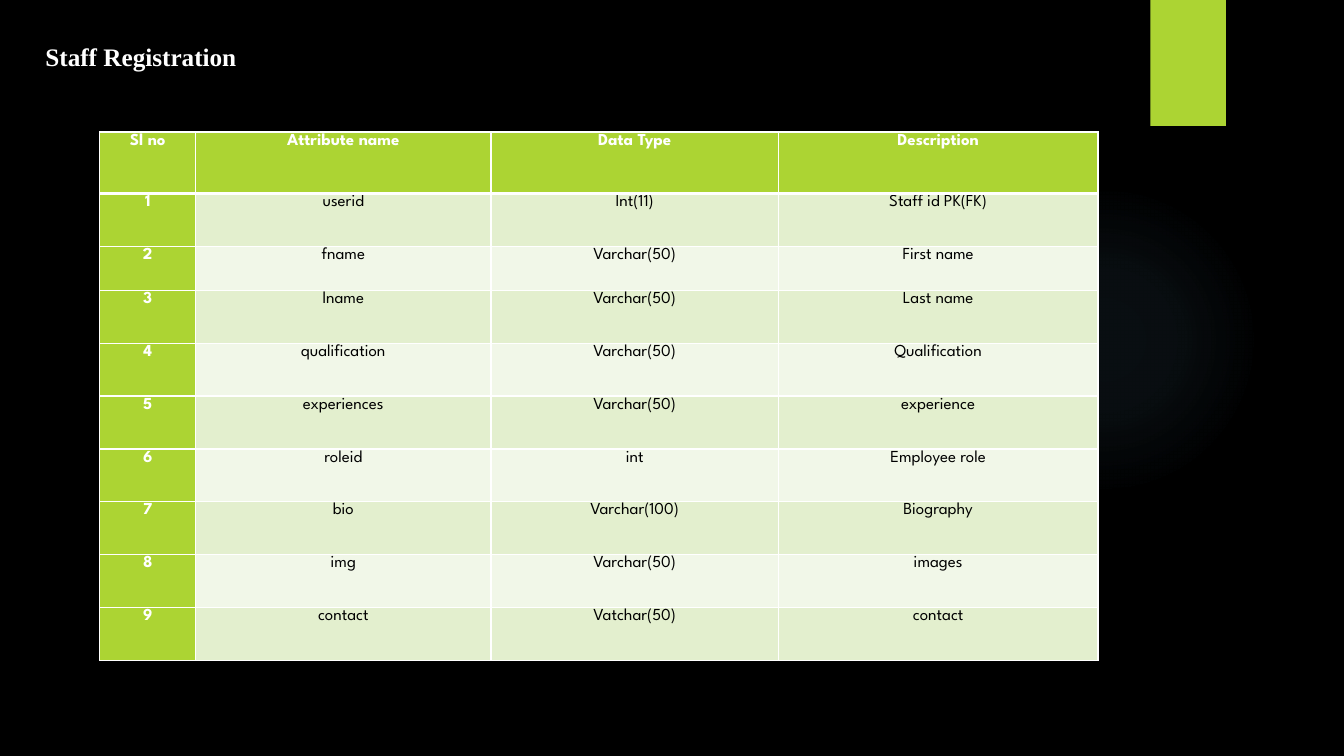
import dataclasses
import typing

import lxml.etree
import pptx
import pptx.dml.color
import pptx.enum.shapes
import pptx.enum.text
import pptx.oxml
import pptx.oxml.ns
import pptx.slide
import pptx.table
import pptx.text.text
import pptx.util

Inches = pptx.util.Inches
ALIGN = pptx.enum.text.PP_ALIGN
SHAPE = pptx.enum.shapes.MSO_SHAPE


@dataclasses.dataclass(frozen=True)
class Theme:
    background: str = "000000"
    accent: str = "ACD433"
    glow: str = "7AC4F0"
    light: str = "FFFFFF"
    dark: str = "000000"
    bands: tuple[str, str] = ("E3EFCE", "F1F7E8")
    title_font: str = "Times New Roman"
    table_font: str = "League Spartan"
    title_size: int = 18
    table_size: int = 12
    thin: int = 1
    thick: int = 3


class Attribute(typing.NamedTuple):
    name: str
    data_type: str
    description: str


class Decoration(typing.NamedTuple):
    outline: SHAPE
    left: float
    top: float
    width: float
    height: float


THEME = Theme()
GLOW = Decoration(SHAPE.OVAL, 9.41, 1.83, 3.08, 3.08)
TAB = Decoration(SHAPE.RECTANGLE, 11.41, 0, 0.75, 1.25)
GLOW_STOPS = ((0, 7), (36, 6), (69, 0))
HEADINGS = ("Sl no", "Attribute name", "Data Type", "Description")
ATTRIBUTES = (
    Attribute("userid", "Int(11)", "Staff id PK(FK)"),
    Attribute("fname", "Varchar(50)", "First name"),
    Attribute("lname", "Varchar(50)", "Last name"),
    Attribute("qualification", "Varchar(50)", "Qualification"),
    Attribute("experiences", "Varchar(50)", "experience"),
    Attribute("roleid", "int", "Employee role"),
    Attribute("bio", "Varchar(100)", "Biography"),
    Attribute("img", "Varchar(50)", "images"),
    Attribute("contact", "Vatchar(50)", "contact"),
)
COLUMN_WIDTHS = (0.95, 2.93, 2.85, 3.17)
HEADER_HEIGHT, ROW_HEIGHT, SHORT_HEIGHT = 0.61, 0.525, 0.435
SHORT_ROW = 2


def rgb(color: str) -> pptx.dml.color.RGBColor:
    return pptx.dml.color.RGBColor.from_string(color)


def drawing_xml(markup: str) -> lxml.etree.ElementBase:
    namespace = pptx.oxml.ns.nsdecls("a")
    return pptx.oxml.parse_xml(markup.replace(">", f" {namespace}>", 1))


def write_text(frame: pptx.text.text.TextFrame, text: str, *, font: str, size: int,
               color: str, bold: bool = False, align: ALIGN = ALIGN.LEFT,
               line_spacing: float = 1.0,
               space_after: float = 0) -> pptx.text.text._Paragraph:
    paragraph = frame.paragraphs[0]
    paragraph.alignment = align
    paragraph.line_spacing = line_spacing
    paragraph.space_before = pptx.util.Pt(0)
    paragraph.space_after = pptx.util.Pt(space_after)
    run = paragraph.add_run()
    run.text = text
    run.font.name = font
    run.font.size = pptx.util.Pt(size)
    run.font.bold = bold
    run.font.color.rgb = rgb(color)
    return paragraph


def add_decoration(slide: pptx.slide.Slide, decoration: Decoration,
                   fill: str, effects: str = "") -> None:
    outline, *box = decoration
    shape = slide.shapes.add_shape(outline, *map(Inches, box))
    shape.line.fill.background()
    shape.shadow.inherit = False
    properties = shape.element.spPr
    properties.insert(2, drawing_xml(fill))
    if effects:
        properties.replace(properties.find(pptx.oxml.ns.qn("a:effectLst")),
                           drawing_xml(effects))


def add_decorations(slide: pptx.slide.Slide) -> None:
    stops = "".join(
        f'<a:gs pos="{position * 1000}"><a:srgbClr val="{THEME.glow}">'
        f'<a:alpha val="{opacity * 1000}"/></a:srgbClr></a:gs>'
        for position, opacity in GLOW_STOPS
    )
    add_decoration(slide, GLOW, (
        f'<a:gradFill><a:gsLst>{stops}</a:gsLst><a:path path="circle">'
        '<a:fillToRect l="50000" t="50000" r="50000" b="50000"/></a:path></a:gradFill>'
    ))
    add_decoration(
        slide, TAB,
        f'<a:solidFill><a:srgbClr val="{THEME.accent}"/></a:solidFill>',
        f'<a:effectLst><a:outerShdw blurRad="{pptx.util.Pt(3)}" dist="{pptx.util.Pt(2)}" '
        'dir="5400000" rotWithShape="0"><a:srgbClr val="000000"><a:alpha val="45000"/>'
        '</a:srgbClr></a:outerShdw></a:effectLst>',
    )


def format_title(slide: pptx.slide.Slide) -> None:
    title = slide.shapes.title
    title.left, title.top = Inches(0.35), Inches(0.36)
    title.width, title.height = Inches(2.18), Inches(0.4)
    frame = title.text_frame
    frame.word_wrap = False
    frame.auto_size = pptx.enum.text.MSO_AUTO_SIZE.SHAPE_TO_FIT_TEXT
    frame.vertical_anchor = pptx.enum.text.MSO_ANCHOR.TOP
    write_text(frame, "Staff Registration", font=THEME.title_font,
               size=THEME.title_size, color=THEME.light, bold=True)


def set_borders(cell: pptx.table._Cell, top: int, bottom: int) -> None:
    widths = {"L": THEME.thin, "R": THEME.thin, "T": top, "B": bottom}
    properties = cell._tc.get_or_add_tcPr()
    for side, width in widths.items():
        properties.append(drawing_xml(
            f'<a:ln{side} w="{pptx.util.Pt(width)}"><a:solidFill>'
            f'<a:srgbClr val="{THEME.light}"/></a:solidFill></a:ln{side}>'
        ))


def fill_cell(cell: pptx.table._Cell, text: str, row: int, column: int) -> None:
    is_heading = row == 0 or column == 0
    cell.margin_left = cell.margin_right = Inches(0.07)
    cell.margin_top = cell.margin_bottom = Inches(0)
    set_borders(cell, THEME.thick if row == 1 else THEME.thin,
                THEME.thick if row == 0 else THEME.thin)
    cell.fill.solid()
    cell.fill.fore_color.rgb = rgb(THEME.accent if is_heading else THEME.bands[(row - 1) % 2])
    paragraph = write_text(
        cell.text_frame, text, font=THEME.table_font, size=THEME.table_size,
        color=THEME.light if is_heading else THEME.dark, bold=is_heading,
        align=ALIGN.CENTER, line_spacing=1.09, space_after=15.3,
    )
    indents = paragraph._p.get_or_add_pPr()
    indents.set("marL", str(Inches(0.01)))
    indents.set("indent", str(Inches(-0.01)))


def add_attribute_table(slide: pptx.slide.Slide) -> None:
    records = [HEADINGS] + [
        (str(number), *attribute) for number, attribute in enumerate(ATTRIBUTES, 1)
    ]
    table = slide.shapes.add_table(
        len(records), len(HEADINGS), Inches(0.99), Inches(1.31), Inches(9.9), Inches(5.24)
    ).table
    table.first_col = True
    for column, width in zip(table.columns, COLUMN_WIDTHS):
        column.width = Inches(width)
    heights = {0: HEADER_HEIGHT, SHORT_ROW: SHORT_HEIGHT}
    for row, record in enumerate(records):
        table.rows[row].height = Inches(heights.get(row, ROW_HEIGHT))
        for column, text in enumerate(record):
            fill_cell(table.cell(row, column), text, row, column)


def main() -> None:
    presentation = pptx.Presentation()
    presentation.slide_width = Inches(13.33)
    presentation.slide_height = Inches(7.5)
    slide = presentation.slides.add_slide(presentation.slide_layouts[5])
    slide.background.fill.solid()
    slide.background.fill.fore_color.rgb = rgb(THEME.background)
    add_decorations(slide)
    format_title(slide)
    add_attribute_table(slide)
    presentation.save("out.pptx")


if __name__ == "__main__":
    main()
